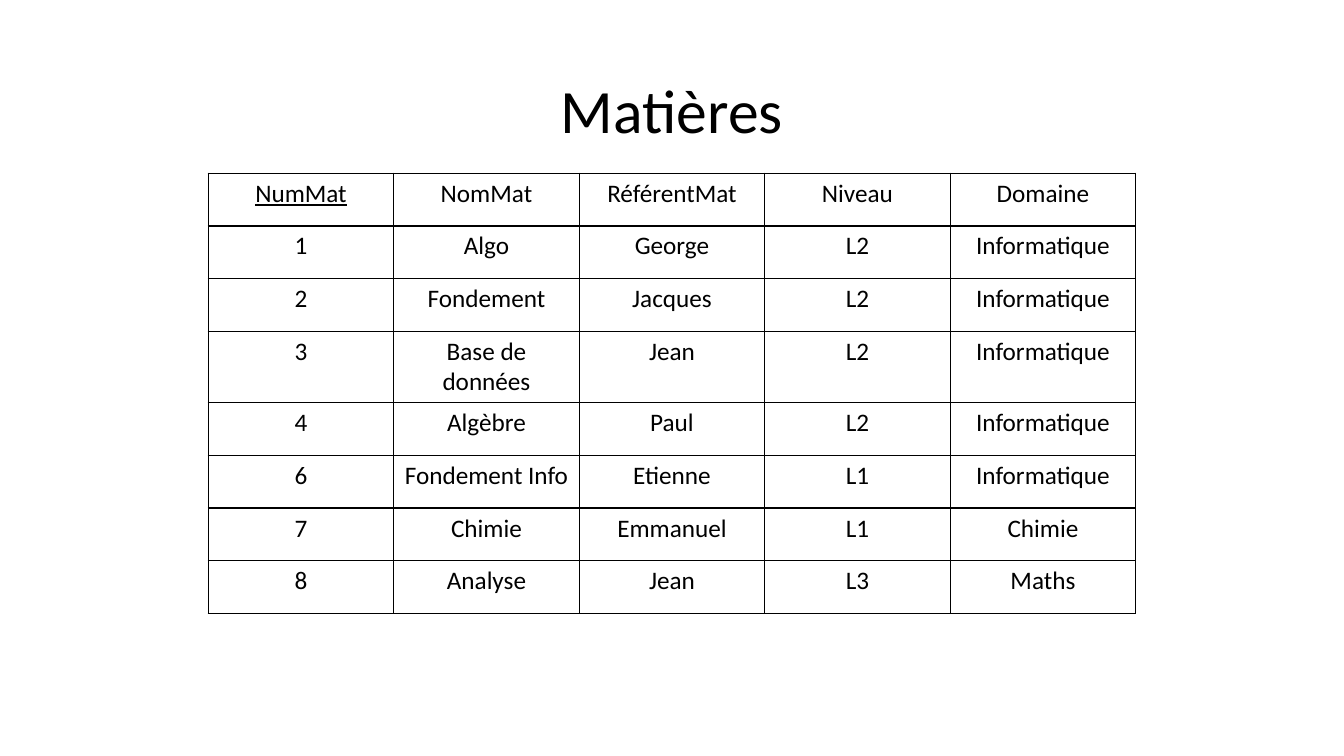
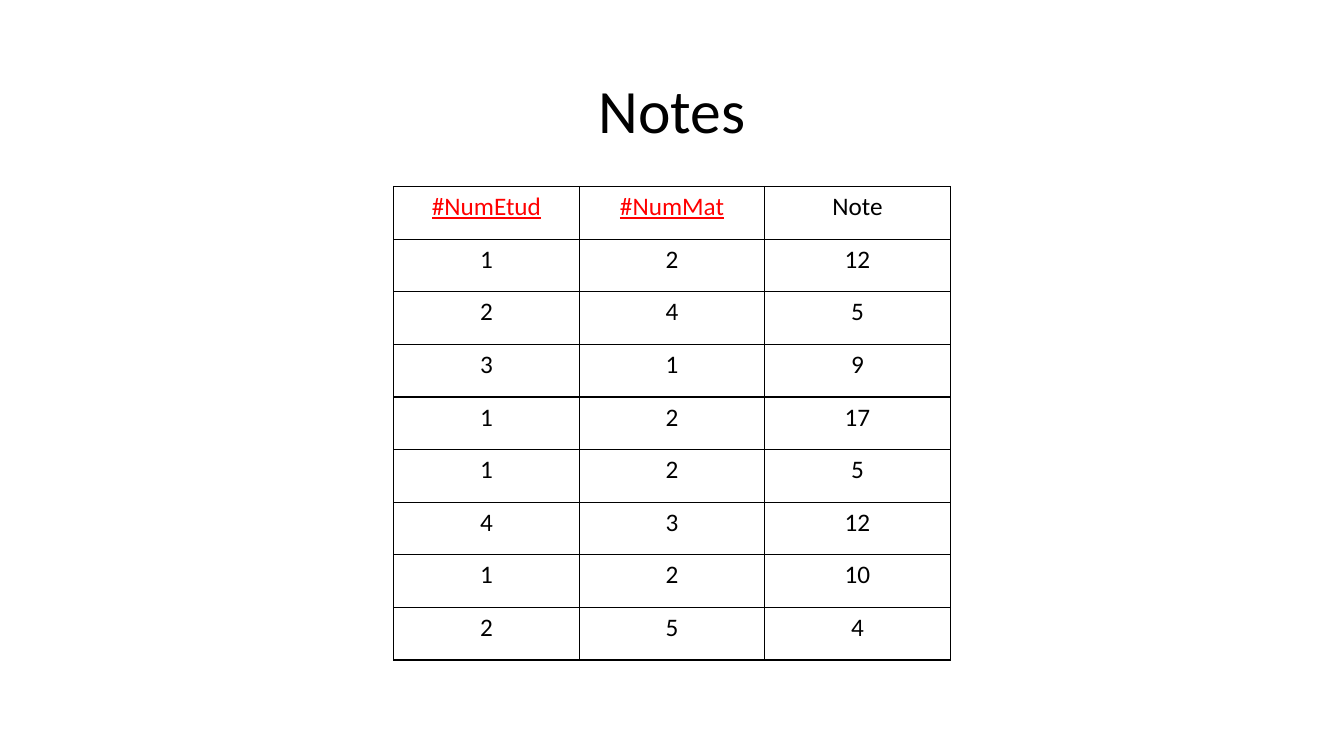
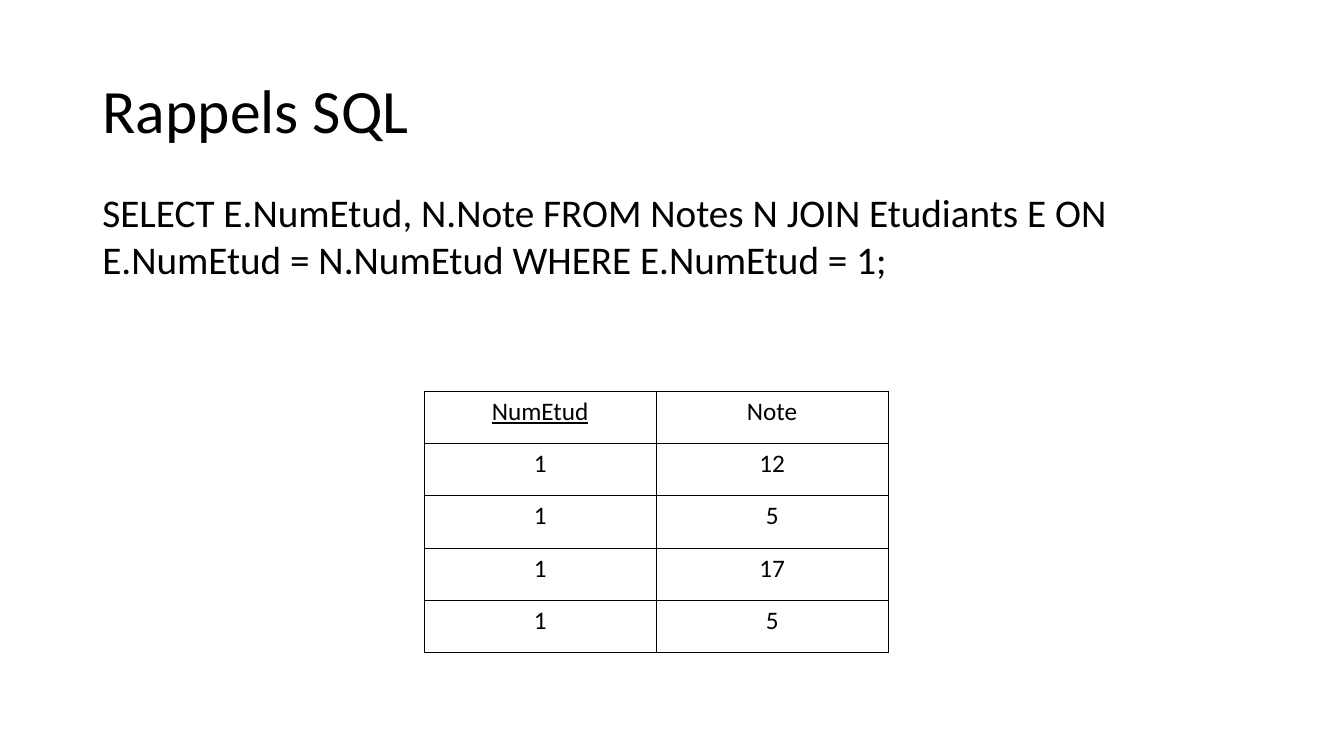
"""Build three slides of database tables with an SQL reminder."""
from dataclasses import dataclass

from lxml.etree import SubElement
from pptx import Presentation
from pptx.dml.color import RGBColor as Color
from pptx.enum.text import MSO_ANCHOR as Anchor, MSO_AUTO_SIZE as AutoSize, PP_ALIGN as Align
from pptx.oxml.ns import qn
from pptx.util import Pt


@dataclass(frozen=True)
class Theme:
    font: str = "Calibri"
    text: str = "000000"
    foreign_key: str = "FF0000"
    title_size: float = 44
    query_size: float = 28
    cell_size: float = 18
    border: float = 1


THEME = Theme()
SLIDE_WIDTH, SLIDE_HEIGHT = 960, 540
ROW_HEIGHT = 37.6
TITLE_BOX = (66, 28.8, 828, 104.4)
QUERY_BOX = (66, 131, 805.7, 75)
TITLE_ONLY = 5

SLIDES = [
    {
        "title": "Matières", "align": Align.CENTER,
        "top": 123.8, "column": 132.5, "keys": {"NumMat"},
        "rows": [
            ("NumMat", "NomMat", "RéférentMat", "Niveau", "Domaine"),
            ("1", "Algo", "George", "L2", "Informatique"),
            ("2", "Fondement", "Jacques", "L2", "Informatique"),
            ("3", "Base de données", "Jean", "L2", "Informatique"),
            ("4", "Algèbre", "Paul", "L2", "Informatique"),
            ("6", "Fondement Info", "Etienne", "L1", "Informatique"),
            ("7", "Chimie", "Emmanuel", "L1", "Chimie"),
            ("8", "Analyse", "Jean", "L3", "Maths"),
        ],
    },
    {
        "title": "Notes", "align": Align.CENTER,
        "top": 133.2, "column": 132.5, "keys": {"#NumEtud", "#NumMat"},
        "rows": [
            ("#NumEtud", "#NumMat", "Note"),
            ("1", "2", "12"),
            ("2", "4", "5"),
            ("3", "1", "9"),
            ("1", "2", "17"),
            ("1", "2", "5"),
            ("4", "3", "12"),
            ("1", "2", "10"),
            ("2", "5", "4"),
        ],
    },
    {
        "title": "Rappels SQL", "align": Align.LEFT,
        "query": "SELECT E.NumEtud, N.Note FROM Notes N JOIN Etudiants E ON "
                 "E.NumEtud = N.NumEtud WHERE E.NumEtud = 1;",
        "left": 303, "top": 279.4, "column": 165.7, "row_height": 37.4, "keys": {"NumEtud"},
        "rows": [
            ("NumEtud", "Note"),
            ("1", "12"),
            ("1", "5"),
            ("1", "17"),
            ("1", "5"),
        ],
    },
]


def add_run(paragraph, text, size, color=THEME.text, underline=None):
    run = paragraph.add_run()
    run.text = text
    font = run.font
    font.name, font.size, font.underline = THEME.font, Pt(size), underline
    font.color.rgb = Color.from_string(color)


def add_title(slide, text, align):
    title = slide.shapes.title
    title.left, title.top, title.width, title.height = map(Pt, TITLE_BOX)
    title.text_frame.vertical_anchor = Anchor.MIDDLE
    paragraph = title.text_frame.paragraphs[0]
    paragraph.alignment, paragraph.line_spacing = align, 0.9
    add_run(paragraph, text, THEME.title_size)


def add_query(slide, text):
    frame = slide.shapes.add_textbox(*map(Pt, QUERY_BOX)).text_frame
    frame.word_wrap, frame.auto_size = True, AutoSize.SHAPE_TO_FIT_TEXT
    add_run(frame.paragraphs[0], text, THEME.query_size)


def style_cell(cell):
    properties = cell._tc.get_or_add_tcPr()
    for side in ("lnL", "lnR", "lnT", "lnB"):
        line = SubElement(properties, qn(f"a:{side}"), w=str(Pt(THEME.border)))
        fill = SubElement(line, qn("a:solidFill"))
        SubElement(fill, qn("a:srgbClr"), val=THEME.text)
    cell.fill.background()


def add_grid(slide, content):
    rows, column_width = content["rows"], content["column"]
    row_height = content.get("row_height", ROW_HEIGHT)
    width = column_width * len(rows[0])
    left = content.get("left", (SLIDE_WIDTH - width) / 2)
    box = map(Pt, (left, content["top"], width, row_height * len(rows)))
    table = slide.shapes.add_table(len(rows), len(rows[0]), *box).table
    table.first_row = table.horz_banding = False
    for column in table.columns:
        column.width = Pt(column_width)
    for row, values in zip(table.rows, rows):
        row.height = Pt(row_height)
        for cell, text in zip(row.cells, values):
            style_cell(cell)
            paragraph = cell.text_frame.paragraphs[0]
            paragraph.alignment = Align.CENTER
            color = THEME.foreign_key if text.startswith("#") else THEME.text
            add_run(paragraph, text, THEME.cell_size, color, text in content["keys"])


def main():
    presentation = Presentation()
    presentation.slide_width, presentation.slide_height = Pt(SLIDE_WIDTH), Pt(SLIDE_HEIGHT)
    for content in SLIDES:
        slide = presentation.slides.add_slide(presentation.slide_layouts[TITLE_ONLY])
        add_title(slide, content["title"], content["align"])
        add_grid(slide, content)
        if "query" in content:
            add_query(slide, content["query"])
    presentation.save("out.pptx")


main()
